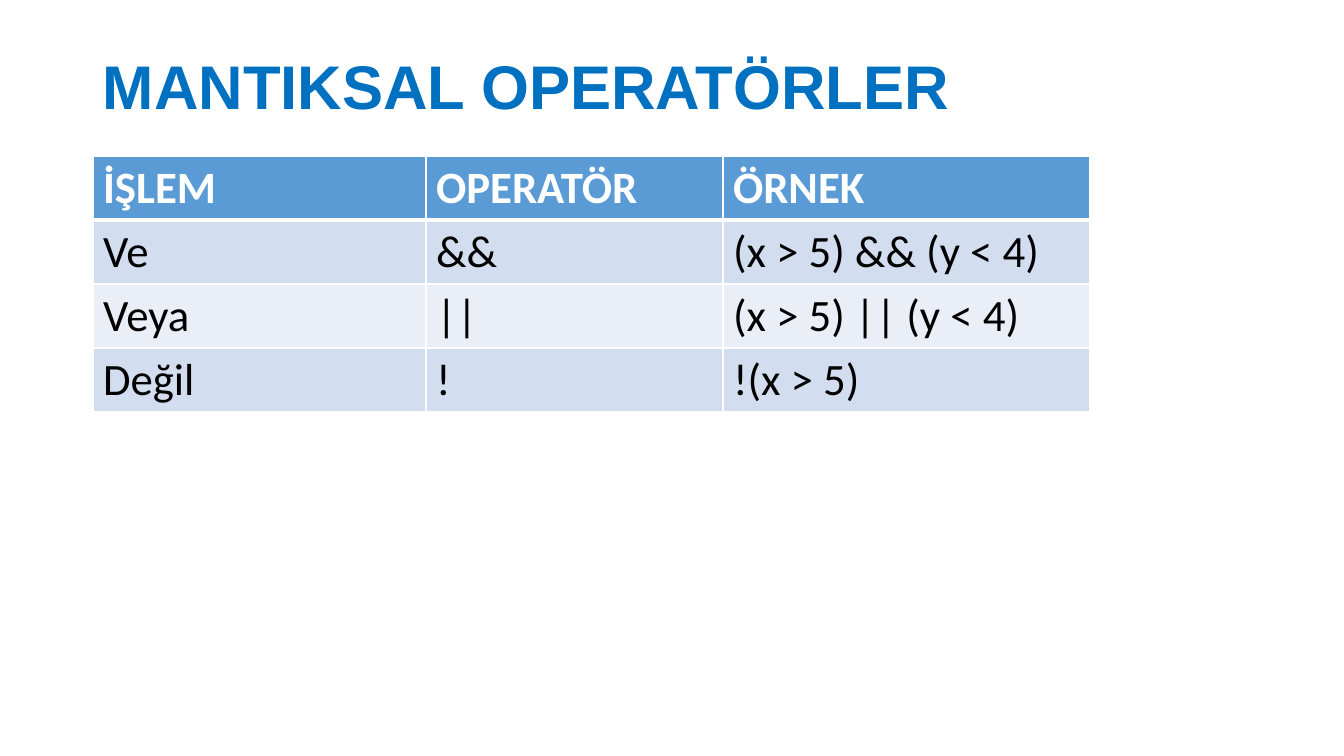
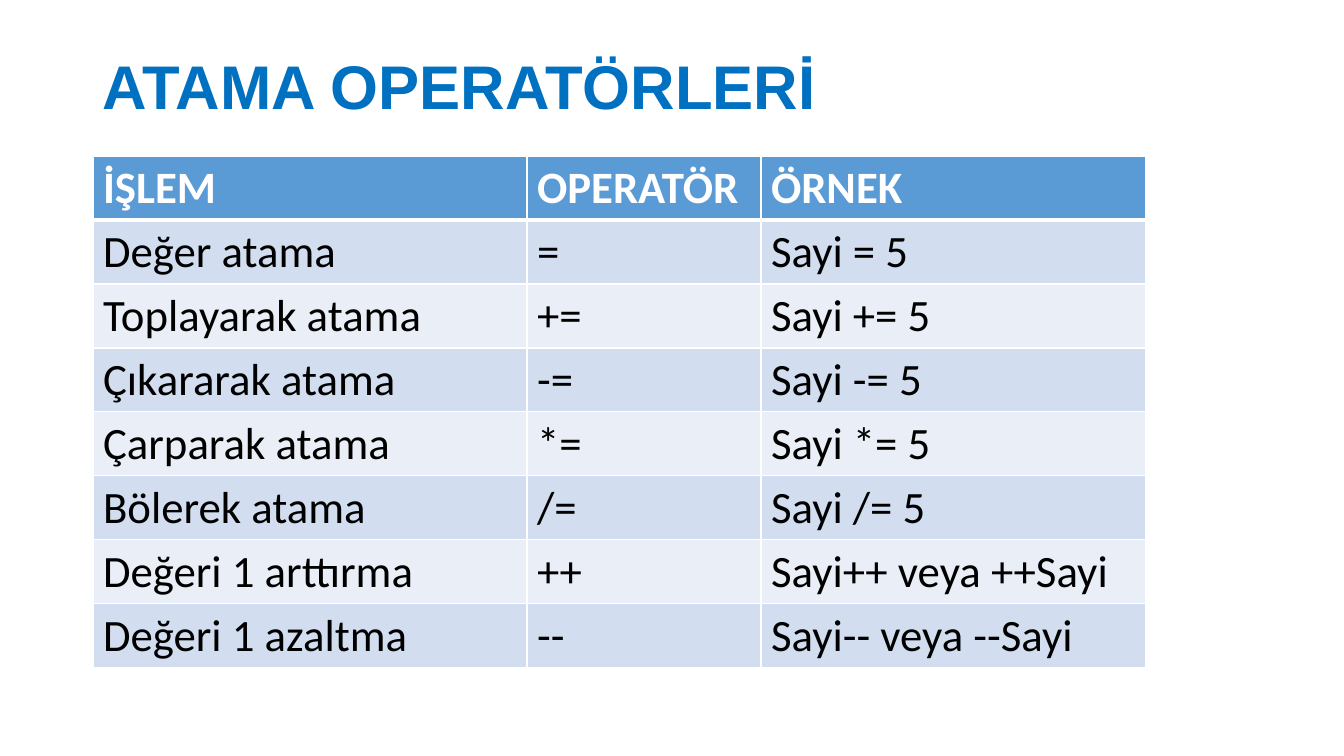
from dataclasses import dataclass
from typing import Any

from lxml.etree import SubElement
from pptx import Presentation
from pptx.dml.color import RGBColor as Rgb
from pptx.enum.text import MSO_ANCHOR as Anchor
from pptx.oxml.ns import qn
from pptx.slide import Slide
from pptx.util import Pt

SLIDE_W, SLIDE_H = 1344, 756
EMU_PER_PX = 12192000 / SLIDE_W
LEFT = 93
TITLE_TOP, TITLE_W, TITLE_H = 40, 1159, 100
TABLE_TOP, ROW_H = 156, 64
HEADINGS = ("İŞLEM", "OPERATÖR", "ÖRNEK")


@dataclass(frozen=True)
class TextStyle:
    name: str
    size: int
    color: str
    bold: bool


@dataclass(frozen=True)
class Theme:
    title: TextStyle = TextStyle("Arial", 44, "0070C0", True)
    heading: TextStyle = TextStyle("Calibri", 32, "FFFFFF", True)
    body: TextStyle = TextStyle("Calibri", 32, "000000", False)
    heading_fill: str = "5B9BD5"
    bands: tuple[str, str] = ("D2DEEF", "EAEFF7")
    grid: str = "FFFFFF"
    grid_pt: int = 1
    heading_rule_pt: int = 3


@dataclass(frozen=True)
class OperatorSlide:
    title: str
    column_widths: tuple[int, int, int]
    rows: tuple[tuple[str, str, str], ...]


THEME = Theme()

SLIDES = (
    OperatorSlide("MANTIKSAL OPERATÖRLER", (333, 297, 367), (
        ("Ve", "&&", "(x > 5) && (y < 4)"),
        ("Veya", "||", "(x > 5) || (y < 4)"),
        ("Değil", "!", "!(x > 5)"),
    )),
    OperatorSlide("ATAMA OPERATÖRLERİ", (434, 234, 385), (
        ("Değer atama", "=", "Sayi = 5"),
        ("Toplayarak atama", "+=", "Sayi += 5"),
        ("Çıkararak atama", "-=", "Sayi -= 5"),
        ("Çarparak atama", "*=", "Sayi *= 5"),
        ("Bölerek atama", "/=", "Sayi /= 5"),
        ("Değeri 1 arttırma", "++", "Sayi++ veya ++Sayi"),
        ("Değeri 1 azaltma", "--", "Sayi-- veya --Sayi"),
    )),
)


def px(length: int) -> int:
    return round(length * EMU_PER_PX)


def write(paragraph: Any, text: str, style: TextStyle) -> None:
    run = paragraph.add_run()
    run.text = text
    formats = {"name": style.name, "size": Pt(style.size), "bold": style.bold}
    for attribute, value in formats.items():
        setattr(run.font, attribute, value)
    run.font.color.rgb = Rgb.from_string(style.color)


def add_title(slide: Slide, title: str) -> None:
    box = slide.shapes.add_textbox(px(LEFT), px(TITLE_TOP), px(TITLE_W), px(TITLE_H))
    formats = {"word_wrap": True, "vertical_anchor": Anchor.MIDDLE}
    for attribute, value in formats.items():
        setattr(box.text_frame, attribute, value)
    paragraph = box.text_frame.paragraphs[0]
    paragraph.line_spacing = 0.9
    write(paragraph, title, THEME.title)


def set_borders(cell: Any, row: int) -> None:
    """Draw the grid, with a thicker rule between the headings and the body."""
    properties = cell._tc.get_or_add_tcPr()
    thick_side = {0: "lnB", 1: "lnT"}.get(row)
    for side in ("lnL", "lnR", "lnT", "lnB"):
        width = THEME.heading_rule_pt if side == thick_side else THEME.grid_pt
        line = SubElement(properties, qn(f"a:{side}"), w=str(Pt(width)))
        fill = SubElement(line, qn("a:solidFill"))
        SubElement(fill, qn("a:srgbClr"), val=THEME.grid)


def add_operator_table(slide: Slide, content: OperatorSlide) -> None:
    rows = (HEADINGS, *content.rows)
    table = slide.shapes.add_table(
        len(rows), len(HEADINGS), px(LEFT), px(TABLE_TOP),
        px(sum(content.column_widths)), px(ROW_H * len(rows)),
    ).table
    for column, width in zip(table.columns, content.column_widths):
        column.width = px(width)
    for row, texts in enumerate(rows):
        style = THEME.body if row else THEME.heading
        color = THEME.bands[(row - 1) % 2] if row else THEME.heading_fill
        for column, text in enumerate(texts):
            cell = table.cell(row, column)
            set_borders(cell, row)
            cell.fill.solid()
            cell.fill.fore_color.rgb = Rgb.from_string(color)
            write(cell.text_frame.paragraphs[0], text, style)


def main() -> None:
    deck = Presentation()
    deck.slide_width, deck.slide_height = px(SLIDE_W), px(SLIDE_H)
    blank = deck.slide_layouts[6]
    for content in SLIDES:
        slide = deck.slides.add_slide(blank)
        add_title(slide, content.title)
        add_operator_table(slide, content)
    deck.save("out.pptx")


if __name__ == "__main__":
    main()
